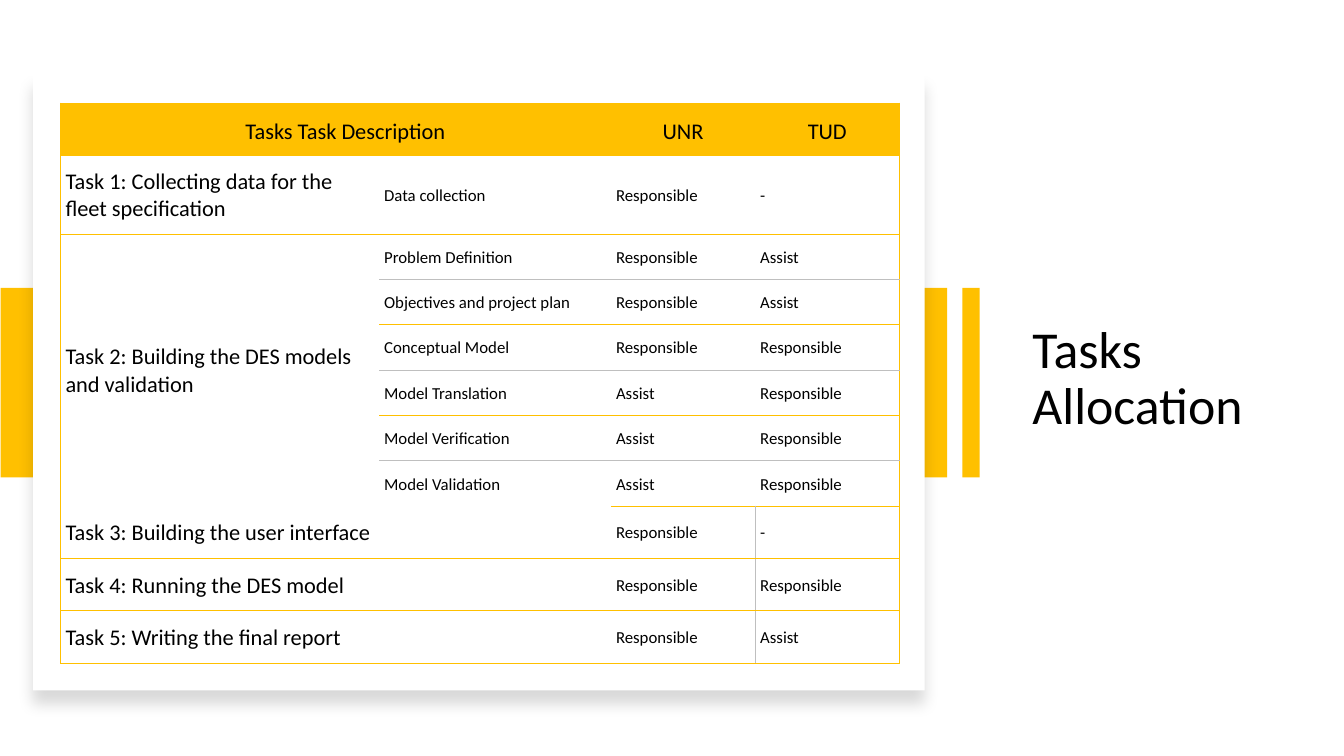
import pptx
import pptx.util
import pptx.dml.color
import pptx.enum.shapes
import pptx.enum.text
import pptx.oxml
import pptx.oxml.ns
from lxml import etree

Inches = pptx.util.Inches
Pt = pptx.util.Pt
ALIGN = pptx.enum.text.PP_ALIGN
ANCHOR = pptx.enum.text.MSO_ANCHOR
COLORS = {"gold": "FFC000", "white": "FFFFFF", "black": "000000", "grey": "BFBFBF"}
COLUMN_WIDTHS = [3.16, 2.3, 1.43, 1.43]
ROW_HEIGHTS = [0.52, 0.78] + [0.45] * 6 + [0.52] * 3
TASKS = [
    ["Tasks Task Description", "", "UNR", "TUD"],
    ["Task 1: Collecting data for the fleet specification", "Data collection", "Responsible", "-"],
    ["Task 2: Building the DES models and validation", "Problem Definition", "Responsible", "Assist"],
    ["", "Objectives and project plan", "Responsible", "Assist"],
    ["", "Conceptual Model", "Responsible", "Responsible"],
    ["", "Model Translation", "Assist", "Responsible"],
    ["", "Model Verification", "Assist", "Responsible"],
    ["", "Model Validation", "Assist", "Responsible"],
    ["Task 3: Building the user interface", "", "Responsible", "-"],
    ["Task 4: Running the DES model", "", "Responsible", "Responsible"],
    ["Task 5: Writing the final report", "", "Responsible", "Assist"],
]
SUBTASK_ROWS = range(2, 8)
WIDE_ROWS = (0, 8, 9, 10)


def rgb(name):
    return pptx.dml.color.RGBColor.from_string(COLORS[name])


def write(frame, text, size=12, align=ALIGN.LEFT, spacing=None, indent=0):
    paragraph = frame.paragraphs[0]
    paragraph.alignment = align
    if spacing:
        paragraph.line_spacing = spacing
    if indent:
        paragraph._p.get_or_add_pPr().set("indent", str(Inches(indent)))
    run = paragraph.add_run()
    run.text = text
    run.font.size = Pt(size)
    run.font.name = "Calibri"
    run.font.color.rgb = rgb("black")


def add_title(slide, text):
    title = slide.shapes.title
    title.left, title.top = Inches(10.14), Inches(2.21)
    title.width, title.height = Inches(2.7), Inches(3.11)
    title.text_frame.word_wrap = True
    title.text_frame.auto_size = pptx.enum.text.MSO_AUTO_SIZE.NONE
    title.text_frame.vertical_anchor = ANCHOR.MIDDLE
    write(title.text_frame, text, size=37, spacing=0.9)


def add_panel(slide, left, top, width, height, color, rotation=0):
    panel = slide.shapes.add_shape(
        pptx.enum.shapes.MSO_SHAPE.RECTANGLE,
        Inches(left), Inches(top), Inches(width), Inches(height))
    panel.rotation = rotation
    panel.fill.solid()
    panel.fill.fore_color.rgb = rgb(color)
    panel.line.fill.background()
    panel.shadow.inherit = False
    return panel


def add_shadow(panel):
    effects = panel._element.spPr.find(pptx.oxml.ns.qn("a:effectLst"))
    effects.append(pptx.oxml.parse_xml(
        f'<a:outerShdw {pptx.oxml.ns.nsdecls("a")} blurRad="{Pt(11)}" dist="{Pt(10)}" '
        f'dir="5400000" algn="t" rotWithShape="0"><a:srgbClr val="{COLORS["black"]}">'
        '<a:alpha val="15000"/></a:srgbClr></a:outerShdw>'))


def line_under(row, column):
    if column == 0 and row in SUBTASK_ROWS:
        return None
    return "grey" if row in (2, 4, 6) else "gold"


def line_left_of(row, column):
    if column in (0, len(COLUMN_WIDTHS)):
        return "gold"
    return "grey" if column == 3 and row >= 8 else None


def draw_borders(cell, row, column):
    edges = {
        "lnL": line_left_of(row, column),
        "lnR": line_left_of(row, column + 1),
        "lnT": line_under(row - 1, column),
        "lnB": line_under(row, column),
    }
    properties = cell._tc.get_or_add_tcPr()
    qn = pptx.oxml.ns.qn
    for position, (tag, color) in enumerate(edges.items()):
        edge = etree.Element(qn(f"a:{tag}"), w=str(Pt(0.5)))
        if color:
            fill = etree.SubElement(edge, qn("a:solidFill"))
            etree.SubElement(fill, qn("a:srgbClr"), val=COLORS[color])
        else:
            etree.SubElement(edge, qn("a:noFill"))
        properties.insert(position, edge)


def format_cell(cell, text, row, column):
    header = row == 0
    cell.margin_left = cell.margin_right = Inches(0.05)
    cell.margin_top, cell.margin_bottom = Inches(0.12), Inches(0.1)
    cell.vertical_anchor = ANCHOR.BOTTOM if header else ANCHOR.MIDDLE
    if header:
        cell.fill.solid()
        cell.fill.fore_color.rgb = rgb("gold")
    else:
        cell.fill.background()
    draw_borders(cell, row, column)
    if text:
        write(cell.text_frame, text, size=16 if header or column == 0 else 12,
              align=ALIGN.CENTER if header else ALIGN.LEFT,
              indent=0.19 if header and column == 0 else 0)


def add_task_table(slide):
    table = slide.shapes.add_table(
        len(TASKS), len(COLUMN_WIDTHS), Inches(0.6), Inches(1.02),
        Inches(sum(COLUMN_WIDTHS)), Inches(sum(ROW_HEIGHTS))).table
    table.horz_banding = False
    table.first_row = False
    for column, width in zip(table.columns, COLUMN_WIDTHS):
        column.width = Inches(width)
    for row, height in zip(table.rows, ROW_HEIGHTS):
        row.height = Inches(height)
    for row, texts in enumerate(TASKS):
        for column, text in enumerate(texts):
            format_cell(table.cell(row, column), text, row, column)
    for row in WIDE_ROWS:
        table.cell(row, 0).merge(table.cell(row, 1))
    table.cell(SUBTASK_ROWS[0], 0).merge(table.cell(SUBTASK_ROWS[-1], 0))


def main():
    deck = pptx.Presentation()
    deck.slide_width, deck.slide_height = Inches(13.33), Inches(7.5)
    slide = deck.slides.add_slide(deck.slide_layouts[5])
    add_title(slide, "Tasks Allocation")
    add_panel(slide, 3.76, -0.9, 1.88, 9.39, "gold", rotation=270)
    add_shadow(add_panel(slide, 0.33, 0.73, 8.84, 6.12, "white"))
    add_panel(slide, 8.69, 3.71, 1.88, 0.17, "gold", rotation=90)
    add_task_table(slide)
    deck.save("out.pptx")


if __name__ == "__main__":
    main()
